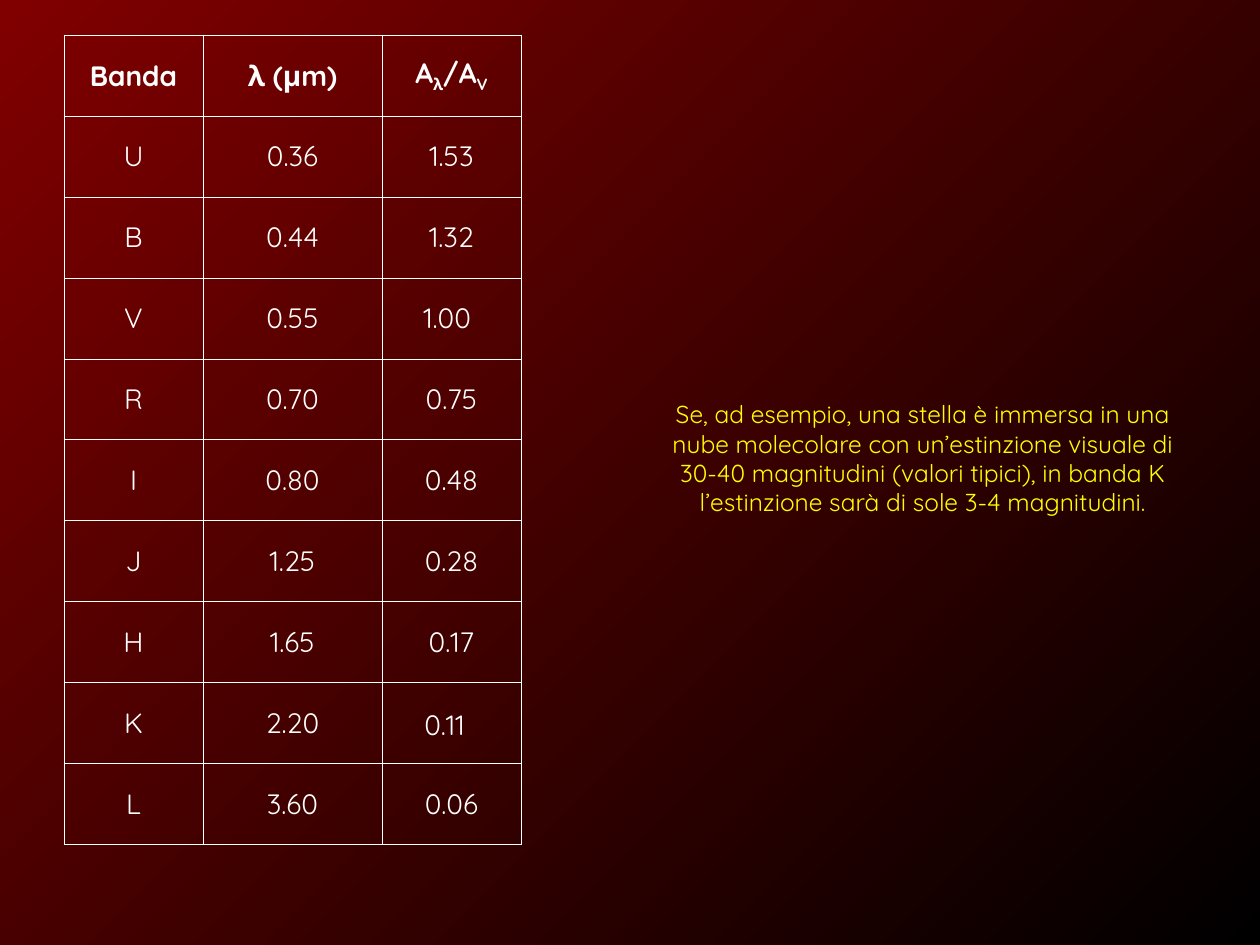
from dataclasses import dataclass

from lxml import etree
from pptx import Presentation
from pptx.dml.color import RGBColor
from pptx.enum.text import MSO_ANCHOR, MSO_AUTO_SIZE, PP_ALIGN
from pptx.oxml.ns import qn
from pptx.util import Pt

CENTER, LEFT = PP_ALIGN.CENTER, PP_ALIGN.LEFT
MIDDLE = MSO_ANCHOR.MIDDLE
FIT_SHAPE = MSO_AUTO_SIZE.SHAPE_TO_FIT_TEXT
PX = 914400 // 126


@dataclass(frozen=True)
class Theme:
    font: str = "Quicksand"
    white: str = "FFFFFF"
    yellow: str = "FFFF00"
    black: str = "000000"
    dark_red: str = "800000"
    table_size: int = 16
    note_size: int = 14
    border: float = 0.45


THEME = Theme()


def format_runs(paragraph, size, color, alignment, bold=False):
    paragraph.alignment = alignment
    for run in paragraph.runs:
        run.font.name = THEME.font
        run.font.size = Pt(size)
        run.font.bold = bold
        run.font.color.rgb = RGBColor.from_string(color)


def add_borders(cell):
    """Draw a thin white line on all four sides of a cell."""
    properties = cell._tc.get_or_add_tcPr()
    for position, side in enumerate(("lnL", "lnR", "lnT", "lnB")):
        line = etree.Element(qn(f"a:{side}"), w=str(int(Pt(THEME.border))))
        fill = etree.SubElement(line, qn("a:solidFill"))
        etree.SubElement(fill, qn("a:srgbClr"), val=THEME.white)
        properties.insert(position, line)


presentation = Presentation()
presentation.slide_width = 1260 * PX
presentation.slide_height = 945 * PX
slide = presentation.slides.add_slide(presentation.slide_layouts[6])

# Background: black at bottom right to dark red at top left
background = slide.background.fill
background.gradient()
background.gradient_angle = 135
for stop, color in zip(background.gradient_stops, (THEME.black, THEME.dark_red)):
    stop.color.rgb = RGBColor.from_string(color)

# Extinction table; the V and K ratios stand in text boxes over empty cells
EXTINCTION = [
    ("Banda", "λ (μm)", ""),
    ("U", "0.36", "1.53"),
    ("B", "0.44", "1.32"),
    ("V", "0.55", ""),
    ("R", "0.70", "0.75"),
    ("I", "0.80", "0.48"),
    ("J", "1.25", "0.28"),
    ("H", "1.65", "0.17"),
    ("K", "2.20", ""),
    ("L", "3.60", "0.06"),
]
COLUMN_WIDTHS = (139, 179, 139)
ROW_HEIGHT = 81

table = slide.shapes.add_table(
    len(EXTINCTION), len(COLUMN_WIDTHS), 64 * PX, 35 * PX,
    sum(COLUMN_WIDTHS) * PX, len(EXTINCTION) * ROW_HEIGHT * PX,
).table
table.first_row = False
table.horz_banding = False
for column, width in zip(table.columns, COLUMN_WIDTHS):
    column.width = width * PX

# Header of the ratio column, with subscripts
ratio_header = table.cell(0, 2).text_frame.paragraphs[0]
for text, is_subscript in (("A", False), ("λ", True), ("/A", False), ("V", True)):
    run = ratio_header.add_run()
    run.text = text
    if is_subscript:
        run.font._element.set("baseline", "-25000")

for row_index, values in enumerate(EXTINCTION):
    table.rows[row_index].height = ROW_HEIGHT * PX
    for column_index, value in enumerate(values):
        cell = table.cell(row_index, column_index)
        cell.vertical_anchor = MIDDLE
        cell.margin_left = cell.margin_right = 3 * PX
        cell.margin_top = cell.margin_bottom = 6 * PX
        cell.fill.background()
        add_borders(cell)
        if value:
            cell.text_frame.text = value
        format_runs(cell.text_frame.paragraphs[0], THEME.table_size, THEME.white,
                    CENTER, bold=row_index == 0)

# Text boxes: text, left, top, width, height, size, colour, alignment, wrap
NOTE = (
    "Se, ad esempio, una stella è immersa in una nube molecolare con "
    "un’estinzione visuale di 30-40 magnitudini (valori tipici), in banda K "
    "l’estinzione sarà di sole 3-4 magnitudini."
)
TEXT_BOXES = [
    (NOTE, 650, 393, 546, 131, THEME.note_size, THEME.yellow, CENTER, True),
    ("1.00", 411, 294, 81, 47, THEME.table_size, THEME.white, LEFT, False),
    ("0.11", 412, 701, 89, 47, THEME.table_size, THEME.white, LEFT, True),
]
for text, left, top, width, height, size, color, alignment, wrap in TEXT_BOXES:
    text_box = slide.shapes.add_textbox(left * PX, top * PX, width * PX, height * PX)
    text_frame = text_box.text_frame
    text_frame.word_wrap = wrap
    text_frame.auto_size = FIT_SHAPE
    text_frame.text = text
    format_runs(text_frame.paragraphs[0], size, color, alignment)

presentation.save("out.pptx")
